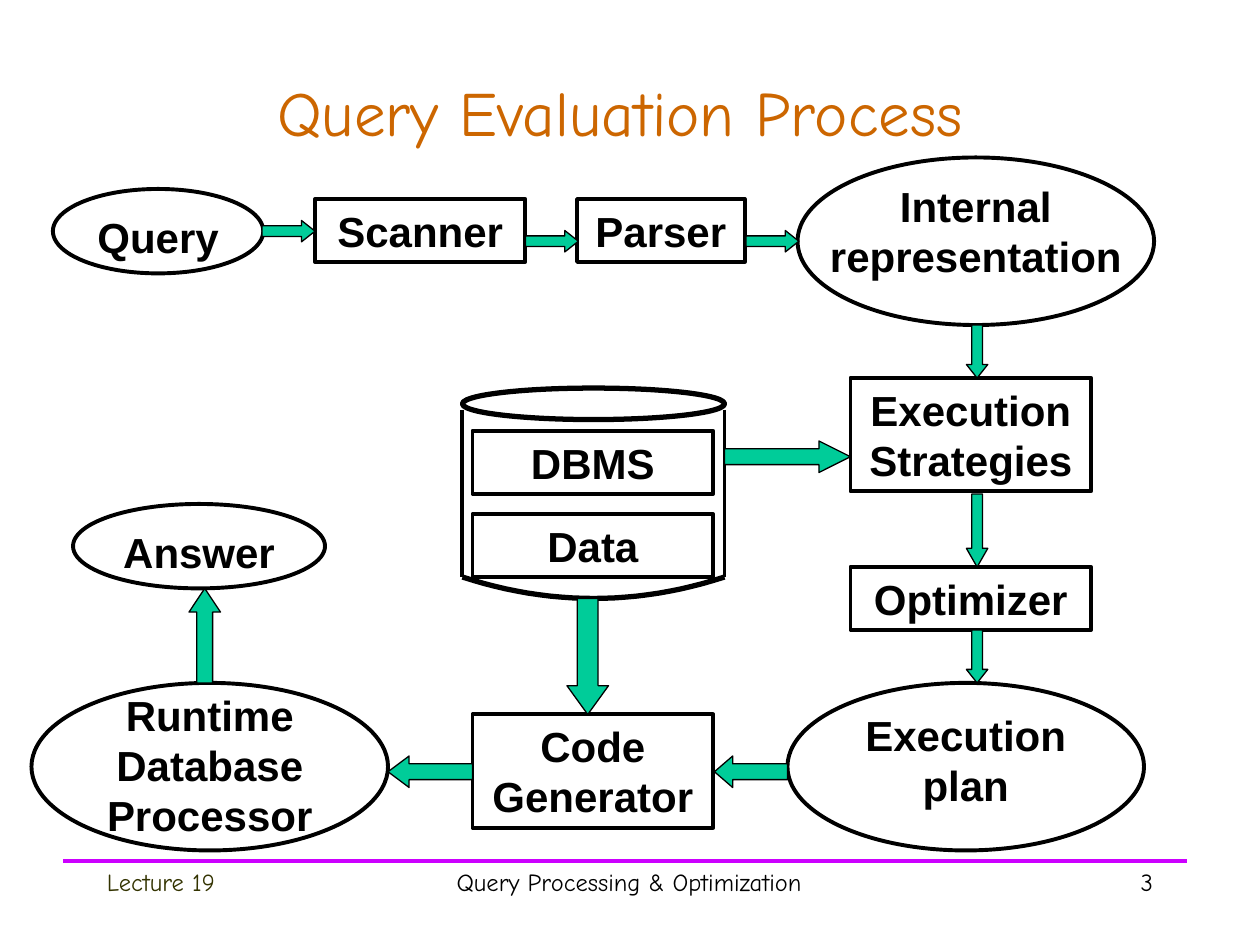
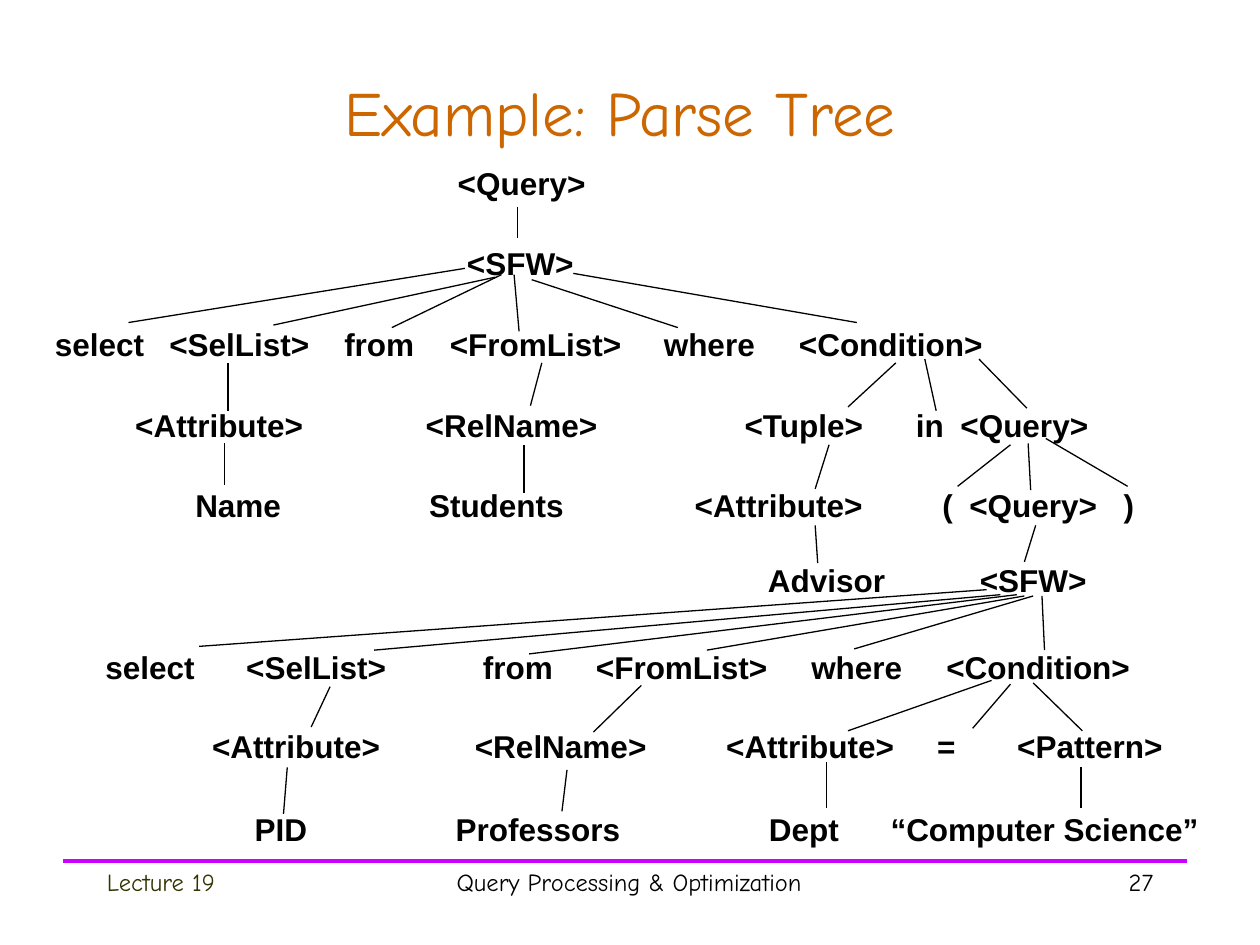
"""Builds two lecture slides on query processing: a flow chart and a parse tree."""
from lxml import etree
from pptx import Presentation
from pptx.dml.color import RGBColor
from pptx.enum import shapes, text
from pptx.oxml import ns
from pptx.util import Inches, Pt

BLACK, GREEN, ORANGE, PURPLE, OLIVE = "000000", "00CC99", "CC6600", "CC00FF", "333300"
HEAD_FONT, BODY_FONT = "Comic Neue", "Arial"
KIND, ALIGN, ANCHOR = shapes.MSO_SHAPE, text.PP_ALIGN, text.MSO_ANCHOR

BOXES = [
    (2.5, 1.58, 1.67, 0.5, "Scanner"),
    (4.58, 1.58, 1.33, 0.5, "Parser"),
    (6.75, 3, 1.91, 0.9, "Execution\nStrategies"),
    (6.75, 4.5, 1.91, 0.5, "Optimizer"),
    (3.75, 5.67, 1.91, 0.9, "Code Generator"),
    (3.75, 3.42, 1.91, 0.5, "DBMS"),
    (3.75, 4.08, 1.91, 0.5, "Data"),
]
OVALS = [
    (0.42, 1.5, 1.67, 0.67, 0.13, "Query"),
    (6.33, 1.25, 2.83, 1.33, 0.13, "Internal representation"),
    (6.25, 5.42, 2.83, 1.33, 0.16, "Execution\nplan"),
    (0.25, 5.42, 2.83, 1.33, 0, "Runtime Database Processor"),
    (0.58, 4, 2, 0.67, 0.13, "Answer"),
]
ARROWS = [
    (KIND.RIGHT_ARROW, 2.08, 1.75, 0.42, 0.17, 0.63),
    (KIND.RIGHT_ARROW, 4.17, 1.83, 0.42, 0.17, 0.63),
    (KIND.RIGHT_ARROW, 5.92, 1.83, 0.42, 0.17, 0.63),
    (KIND.RIGHT_ARROW, 5.75, 3.5, 1, 0.25, 1),
    (KIND.DOWN_ARROW, 7.67, 2.58, 0.17, 0.42, 0.63),
    (KIND.DOWN_ARROW, 7.67, 3.92, 0.17, 0.58, 0.87),
    (KIND.DOWN_ARROW, 7.67, 5, 0.17, 0.42, 0.63),
    (KIND.DOWN_ARROW, 4.5, 4.75, 0.33, 0.92, 0.69),
    (KIND.LEFT_ARROW, 5.67, 6, 0.58, 0.25, 0.58),
    (KIND.LEFT_ARROW, 3.08, 6, 0.67, 0.25, 0.67),
    (KIND.UP_ARROW, 1.5, 4.67, 0.25, 0.75, 0.75),
]
TREE = [
    (1.25, [("<Query>", 4.14, None)]),
    (1.89, [("<SFW>", 4.13, (4.11, 1.64, 4.11, 1.89))]),
    (2.53, [
        ("select", 0.79, (3.69, 2.13, 1.02, 2.56)),
        ("<SelList>", 1.9, (3.93, 2.2, 2.17, 2.58)),
        ("from", 3.01, (3.98, 2.18, 3.11, 2.6)),
        ("<FromList>", 4.25, (4.08, 2.18, 4.12, 2.63)),
        ("where", 5.63, (4.22, 2.22, 5.38, 2.6)),
        ("<Condition>", 7.07, (4.55, 2.17, 6.8, 2.56)),
    ]),
    (3.17, [
        ("<Attribute>", 1.74, (1.81, 2.88, 1.81, 3.26)),
        ("<RelName>", 4.06, (4.3, 2.88, 4.21, 3.22)),
        ("<Tuple>", 6.38, (7.11, 2.88, 6.73, 3.23)),
        ("in", 7.38, (7.34, 2.85, 7.43, 3.26)),
        ("<Query>", 8.13, (7.77, 2.85, 8.15, 3.24)),
    ]),
    (3.81, [
        ("Name", 1.89, (1.78, 3.52, 1.78, 3.85)),
        ("Students", 3.94, (4.16, 3.53, 4.16, 3.91)),
        ("<Attribute>", 6.18, (6.58, 3.53, 6.47, 3.88)),
        ("(", 7.52, (8.02, 3.53, 7.6, 3.86)),
        ("<Query>", 8.2, (8.16, 3.52, 8.18, 3.89)),
        (")", 8.96, (8.3, 3.48, 8.95, 3.86)),
    ]),
    (4.4, [
        ("Advisor", 6.56, (6.47, 4.17, 6.49, 4.47)),
        ("<SFW>", 8.2, (8.22, 4.17, 8.13, 4.46)),
    ]),
    (5.09, [
        ("select", 1.19, (7.83, 4.68, 1.58, 5.13)),
        ("<SelList>", 2.51, (7.94, 4.72, 2.97, 5.16)),
        ("from", 4.11, (8.07, 4.72, 4.2, 5.19)),
        ("<FromList>", 5.41, (8.13, 4.73, 5.61, 5.16)),
        ("where", 6.8, (8.2, 4.73, 6.78, 5.15)),
        ("<Condition>", 8.24, (8.27, 4.73, 8.29, 5.16)),
    ]),
    (5.72, [
        ("<Attribute>", 2.35, (2.62, 5.45, 2.47, 5.77)),
        ("<RelName>", 4.45, (5.09, 5.44, 4.71, 5.81)),
        ("<Attribute>", 6.43, (7.87, 5.4, 6.73, 5.8)),
        ("=", 7.51, (8.02, 5.43, 7.72, 5.78)),
        ("<Pattern>", 8.65, (8.2, 5.42, 8.59, 5.8)),
    ]),
    (6.38, [
        ("PID", 2.23, (2.28, 6.09, 2.25, 6.46)),
        ("Professors", 4.27, (4.5, 6.11, 4.46, 6.44)),
        ("Dept", 6.38, (6.56, 6.05, 6.56, 6.41)),
        ("“Computer Science”", 8.29, (8.58, 6.09, 8.58, 6.41)),
    ]),
]


def rgb(value):
    """Return the colour for a hex string."""
    return RGBColor.from_string(value)


def inches(*values):
    """Turn numbers into lengths."""
    return [Inches(v) for v in values]


def write(shape, words, size, font=BODY_FONT, color=BLACK, bold=True,
          align=ALIGN.CENTER, anchor=ANCHOR.TOP, wrap=True):
    """Fill a shape with text, one paragraph per line."""
    tf = shape.text_frame
    tf.text = words
    tf.word_wrap = wrap
    tf.vertical_anchor = anchor
    for p in tf.paragraphs:
        p.alignment = align
        p.font.size, p.font.name, p.font.bold = Pt(size), font, bold
        p.font.color.rgb = rgb(color)


def outline(shape, width, fill=None):
    """Give a shape a black outline and a plain or empty fill."""
    shape.shadow.inherit = False
    shape.line.color.rgb = rgb(BLACK)
    shape.line.width = Pt(width)
    if fill:
        shape.fill.solid()
        shape.fill.fore_color.rgb = rgb(fill)
    else:
        shape.fill.background()


def add_line(s, x1, y1, x2, y2, width=0.75, color=BLACK):
    """Draw a straight line."""
    line = s.shapes.add_connector(shapes.MSO_CONNECTOR.STRAIGHT, *inches(x1, y1, x2, y2))
    line.line.color.rgb = rgb(color)
    line.line.width = Pt(width)
    etree.SubElement(line._element.spPr, ns.qn("a:effectLst"))


def add_shape(s, kind, x, y, w, h, width=2.25, fill=None):
    """Draw an outlined preset shape."""
    sp = s.shapes.add_shape(kind, *inches(x, y, w, h))
    outline(sp, width, fill)
    return sp


def add_text(s, x, y, w, h, words, size, **style):
    """Place a text box."""
    write(s.shapes.add_textbox(*inches(x, y, w, h)), words, size, **style)


def add_box(s, x, y, w, h, words):
    """Draw a labelled processing step."""
    write(add_shape(s, KIND.RECTANGLE, x, y, w, h), words, 24)


def add_oval(s, x, y, w, h, drop, words):
    """Draw an ellipse with its label set a little below the top."""
    add_shape(s, KIND.OVAL, x, y, w, h)
    add_text(s, x, y + drop, w, h - drop, words, 24)


def add_arrow(s, kind, x, y, w, h, head):
    """Draw a green block arrow."""
    sp = add_shape(s, kind, x, y, w, h, 0.75, GREEN)
    sp.adjustments[0], sp.adjustments[1] = 0.5, head


def add_cylinder(s, left, right, top, bottom):
    """Draw the open database drum with a curved base."""
    add_shape(s, KIND.OVAL, left, top, right - left, 0.25, 3)
    for x in (left, right):
        add_line(s, x, top + 0.17, x, bottom, 2.25)
    steps = [i / 12 for i in range(-12, 13)]
    middle, half = (left + right) / 2, (right - left) / 2
    points = [inches(middle + half * t, bottom + 0.17 * (1 - t * t)) for t in steps]
    curve = s.shapes.build_freeform(*points[0])
    curve.add_line_segments(points[1:], close=False)
    outline(curve.convert_to_shape(), 3)


def new_slide(prs, title, number):
    """Add a slide with the shared title, rule and footer."""
    s = prs.slides.add_slide(prs.slide_layouts[5])
    sp = s.shapes.title
    sp.left, sp.top, sp.width, sp.height = inches(0.42, 0.42, 9, 0.92)
    write(sp, title, 36, HEAD_FONT, ORANGE, False, anchor=ANCHOR.MIDDLE)
    add_line(s, 0.5, 6.83, 9.42, 6.83, 2.25, PURPLE)
    for x, w, words, align, color in (
        (0.75, 2.08, "Lecture 19", ALIGN.LEFT, OLIVE),
        (3.08, 3.83, "Query Processing & Optimization", ALIGN.CENTER, BLACK),
        (7.17, 2.08, str(number), ALIGN.RIGHT, BLACK),
    ):
        add_text(s, x, 6.83, w, 0.5, words, 14, font=HEAD_FONT, color=color,
                 bold=False, align=align)
    return s


def add_process(s):
    """Draw the query evaluation flow chart."""
    add_cylinder(s, 3.67, 5.75, 3.08, 4.58)
    for draw, items in ((add_box, BOXES), (add_oval, OVALS), (add_arrow, ARROWS)):
        for item in items:
            draw(s, *item)


def add_tree(s):
    """Draw the parse tree, each node with the line from its parent."""
    for top, nodes in TREE:
        for words, centre, edge in nodes:
            width = 0.35 + 0.15 * len(words)
            add_text(s, centre - width / 2, top, width, 0.4, words, 18,
                     anchor=ANCHOR.MIDDLE, wrap=False)
            if edge:
                add_line(s, *edge)


def main():
    """Build and save the slides."""
    prs = Presentation()
    prs.slide_width, prs.slide_height = inches(10, 7.5)
    add_process(new_slide(prs, "Query Evaluation Process", 3))
    add_tree(new_slide(prs, "Example: Parse Tree", 27))
    prs.save("out.pptx")


if __name__ == "__main__":
    main()
